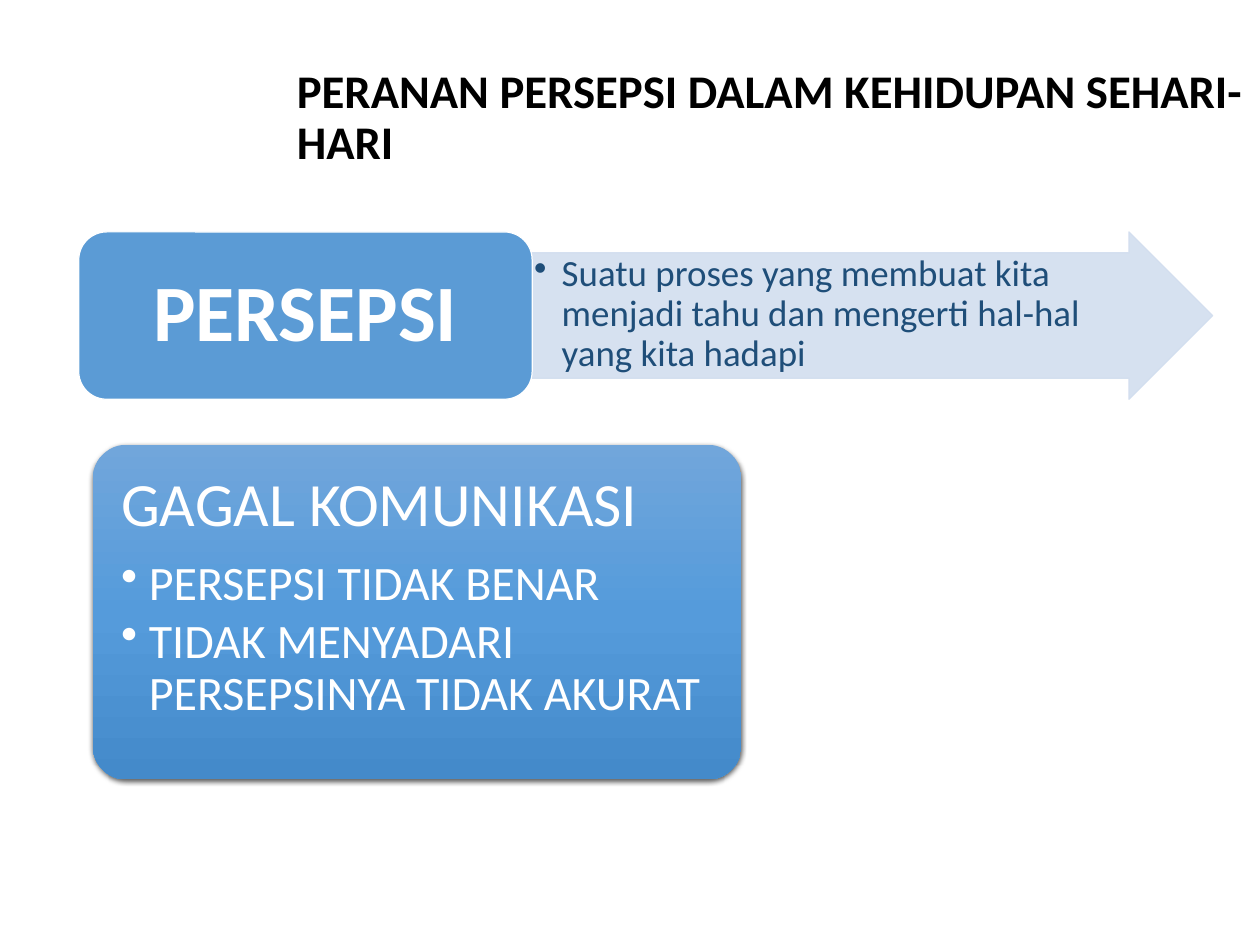
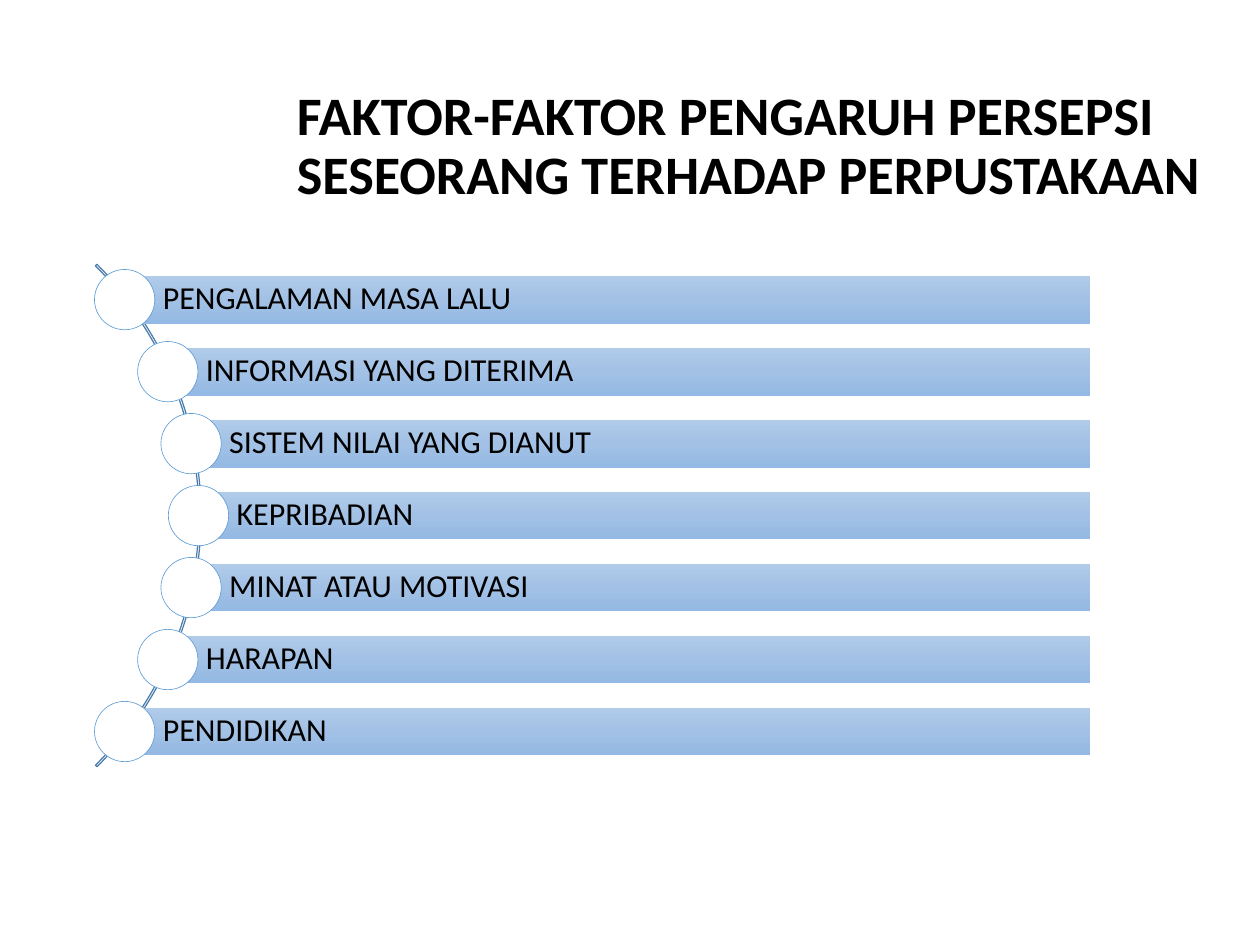
import copy
import math

import pptx
import pptx.dml.color
import pptx.enum.shapes
import pptx.enum.text
import pptx.oxml
import pptx.oxml.ns
import pptx.util

Pt = pptx.util.Pt
RGB = pptx.dml.color.RGBColor.from_string
qn = pptx.oxml.ns.qn
SHAPE = pptx.enum.shapes.MSO_SHAPE
ALIGN = pptx.enum.text.PP_ALIGN
ANCHOR = pptx.enum.text.MSO_ANCHOR

FONT = "Calibri"
COLORS = {
    "black": "000000",
    "white": "FFFFFF",
    "blue": "5B9BD5",
    "navy": "1F4E79",
    "pale": "D2DEEF",
    "arc": "497CAB",
}
CARD_GRADIENT = ["71A6DB", "559BDB", "448ACA"]
BAR_GRADIENT = ["B1CBE9", "A3C1E5", "93B9E4"]


def write(tf, text, size, color="black", bold=False, align=ALIGN.LEFT, anchor=ANCHOR.MIDDLE,
          insets=None, bullet=False, after=0, new=False):
    """Write one paragraph into a text frame; new=True adds it below the others."""
    tf.word_wrap = True
    tf.auto_size = pptx.enum.text.MSO_AUTO_SIZE.NONE
    tf.vertical_anchor = anchor
    if insets:
        tf.margin_left, tf.margin_top, tf.margin_right, tf.margin_bottom = map(Pt, insets)
    p = tf.add_paragraph() if new else tf.paragraphs[0]
    p.alignment = align
    p.line_spacing = 0.9
    p.space_before = Pt(0)
    p.space_after = Pt(after)
    if bullet:
        pPr = p._p.get_or_add_pPr()
        pPr.set("marL", str(Pt(22.5)))
        pPr.set("indent", str(-Pt(22.5)))
        pptx.oxml.ns  # namespace helpers
        bu = pPr.makeelement(qn("a:buChar"), {"char": "•"})
        pPr.append(bu)
    r = p.add_run()
    r.text = text
    r.font.name = FONT
    r.font.size = Pt(size)
    r.font.bold = bold
    r.font.color.rgb = RGB(COLORS[color])


def add_box(s, kind, box, fill=None, line=None, width=1, adjust=()):
    """Add a preset shape; fill is a colour name, a list of gradient stops or None."""
    sp = s.shapes.add_shape(kind, *map(Pt, box))
    sp.shadow.inherit = False
    for i, value in enumerate(adjust):
        sp.adjustments[i] = value
    if isinstance(fill, list):
        sp.fill.gradient()
        sp.fill.gradient_angle = 270
        first = sp._element.spPr.find(".//" + qn("a:gs"))
        first.addnext(copy.deepcopy(first))
        for i, (stop, color) in enumerate(zip(sp.fill.gradient_stops, fill)):
            stop.position = i / 2
            stop.color.rgb = RGB(color)
    elif fill:
        sp.fill.solid()
        sp.fill.fore_color.rgb = RGB(COLORS[fill])
    else:
        sp.fill.background()
    if line:
        sp.line.color.rgb = RGB(COLORS[line])
        sp.line.width = Pt(width)
    else:
        sp.line.fill.background()
    return sp


prs = pptx.Presentation()
prs.slide_width, prs.slide_height = Pt(1024), Pt(768)

titles = [
    ("PERANAN PERSEPSI DALAM KEHIDUPAN SEHARI-HARI", 38, (234, 50, 816.5, 93.5)),
    ("FAKTOR-FAKTOR PENGARUH PERSEPSI SESEORANG TERHADAP PERPUSTAKAAN", 44,
     (234, 66, 754, 108)),
]
slides = []
for text, size, box in titles:
    s = prs.slides.add_slide(prs.slide_layouts[5])
    title = s.shapes.title
    title.left, title.top, title.width, title.height = map(Pt, box)
    write(title.text_frame, text, size, bold=True)
    slides.append(s)
role_slide, factor_slide = slides

# Slide 1: definition arrow and failure card
arrow = add_box(role_slide, SHAPE.RIGHT_ARROW, (432.5, 188.5, 553, 136), "pale", "pale",
                adjust=(0.75, 0.5))
for clr in arrow._element.spPr.iter(qn("a:srgbClr")):
    clr.append(clr.makeelement(qn("a:alpha"), {"val": "90000"}))
write(arrow.text_frame, "Suatu proses yang membuat kita menjadi tahu dan mengerti hal-hal yang kita hadapi",
      30, "navy", anchor=ANCHOR.TOP, insets=(1.5, 1.5, 35, 1.5), bullet=True)

term = add_box(role_slide, SHAPE.ROUNDED_RECTANGLE, (64, 188.5, 368.5, 136), "blue", "white")
write(term.text_frame, "PERSEPSI", 65, "white", bold=True, align=ALIGN.CENTER,
      insets=(19.5, 10, 19.5, 10))

card = add_box(role_slide, SHAPE.ROUNDED_RECTANGLE, (75.5, 361.5, 527, 272), CARD_GRADIENT,
               adjust=(0.1,))
effects = card._element.spPr.find(qn("a:effectLst"))
effects.append(pptx.oxml.parse_xml(
    f'<a:outerShdw {pptx.oxml.ns.nsdecls("a")} blurRad="{Pt(4.5)}" dist="{Pt(1.5)}" '
    'dir="5400000" algn="ctr" rotWithShape="0">'
    '<a:srgbClr val="000000"><a:alpha val="63000"/></a:srgbClr></a:outerShdw>'))
write(card.text_frame, "GAGAL KOMUNIKASI", 50, "white", anchor=ANCHOR.TOP,
      insets=(15, 15, 15, 15), after=16)
for text in ("PERSEPSI TIDAK BENAR", "TIDAK MENYADARI PERSEPSINYA TIDAK AKURAT"):
    write(card.text_frame, text, 39, "white", anchor=ANCHOR.TOP, bullet=True, after=5, new=True)

# Slide 2: factors strung along an arc
factors = ["PENGALAMAN MASA LALU", "INFORMASI YANG DITERIMA", "SISTEM NILAI YANG DIANUT",
           "KEPRIBADIAN", "MINAT ATAU MOTIVASI", "HARAPAN", "PENDIDIKAN"]
center_x, center_y = -125.3, 419
arc_radius, dot_radius = 288.7, 286.6
pitch, bar_height, bar_right, dot = 58.5, 39, 886, 49

add_box(factor_slide, SHAPE.BLOCK_ARC,
        (center_x - arc_radius, center_y - arc_radius, 2 * arc_radius, 2 * arc_radius),
        line="arc", adjust=(189, 27, 0.003))
for i, factor in enumerate(factors):
    dy = (i - (len(factors) - 1) / 2) * pitch
    x = center_x + math.sqrt(dot_radius ** 2 - dy ** 2)
    y = center_y + dy
    bar = add_box(factor_slide, SHAPE.RECTANGLE,
                  (x, y - bar_height / 2, bar_right - x, bar_height), BAR_GRADIENT)
    write(bar.text_frame, factor, 26, insets=(31, 5, 5, 5))
    add_box(factor_slide, SHAPE.OVAL, (x - dot / 2, y - dot / 2, dot, dot), "white", "blue", 0.5)

prs.save("out.pptx")
